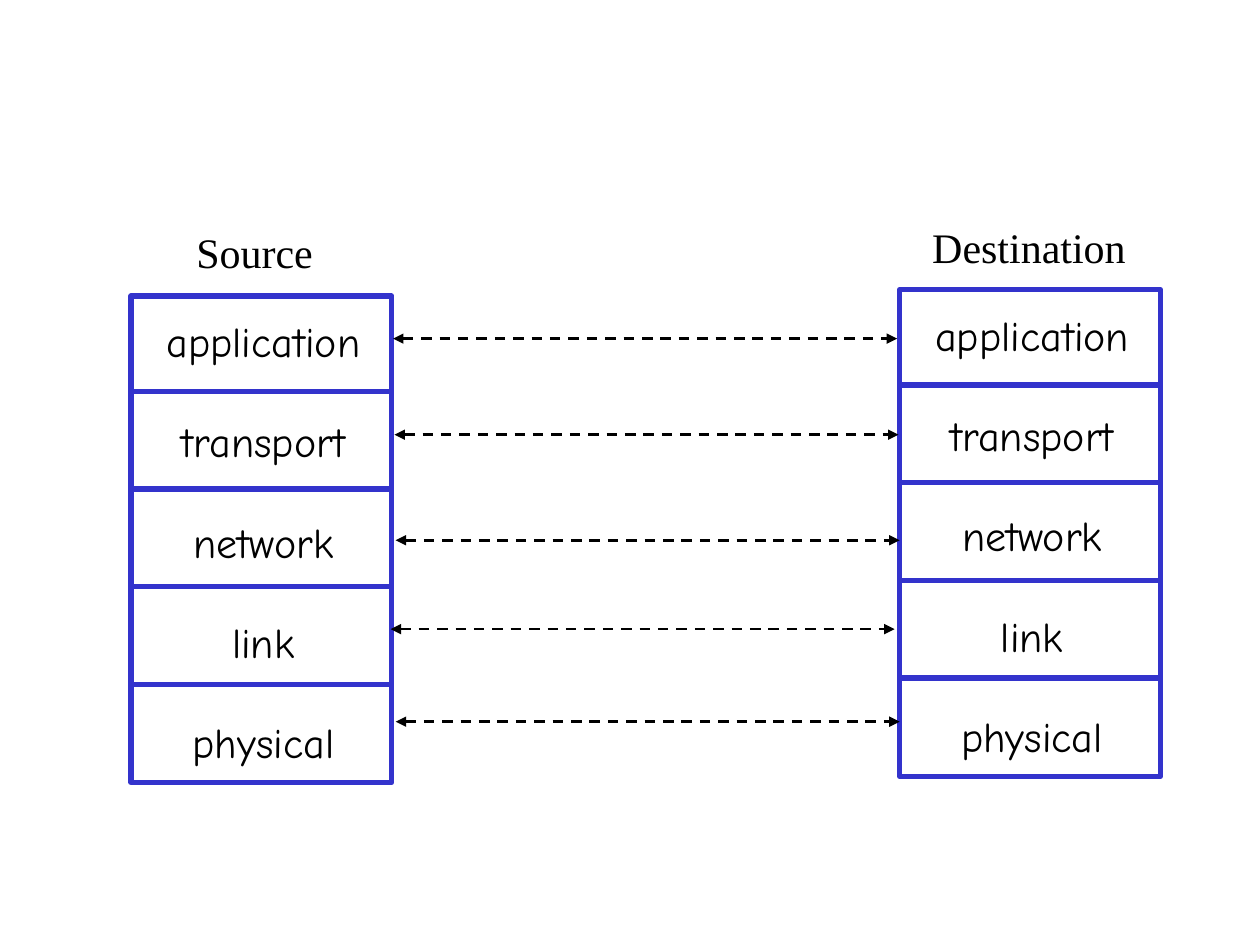
from dataclasses import dataclass

from lxml.etree import SubElement
from pptx import Presentation
from pptx.dml.color import RGBColor
from pptx.enum.dml import MSO_LINE_DASH_STYLE as Dash
from pptx.enum.shapes import MSO_CONNECTOR as Connector
from pptx.enum.shapes import MSO_SHAPE as Preset
from pptx.enum.text import MSO_AUTO_SIZE as AutoSize
from pptx.enum.text import PP_ALIGN as Align
from pptx.oxml.ns import qn
from pptx.util import Pt

BLUE = "3333CC"
BLACK = "000000"
WHITE = "FFFFFF"
LAYERS = ["application", "transport", "network", "link", "physical"]
STACK_WIDTH = 149
STACK_HEIGHT = 278
FIRST_DIVIDER = 54.4
DIVIDER_STEP = 55.8
LINE_HEIGHT = 28.7
ARROW_LENGTH = 288


@dataclass
class Stack:
    title: str
    left: float
    top: float
    title_left: float
    title_top: float
    title_width: float


@dataclass
class PeerArrow:
    left: float
    y: float


STACKS = [
    Stack("Destination", 514.1, 165.6, 525.6, 123.1, 126),
    Stack("Source", 74.9, 169.2, 105.1, 126, 97.9),
]
PEER_ARROWS = [
    PeerArrow(224.6, 193.5),
    PeerArrow(225.4, 248.4),
    PeerArrow(226.1, 308.7),
    PeerArrow(223.2, 359.5),
    PeerArrow(226.1, 412.4),
]


def color(value: str) -> RGBColor:
    return RGBColor.from_string(value)


def add_line(shapes, left: float, y: float, length: float, line_color: str, width: float):
    connector = shapes.add_connector(
        Connector.STRAIGHT, Pt(left), Pt(y), Pt(left + length), Pt(y)
    )
    connector.line.color.rgb = color(line_color)
    connector.line.width = Pt(width)
    SubElement(connector._element.spPr, qn("a:effectLst"))
    return connector


def add_text(shapes, lines: list[str], left: float, top: float, width: float,
             height: float, font_name: str, wrap: bool):
    box = shapes.add_textbox(Pt(left), Pt(top), Pt(width), Pt(height))
    text_frame = box.text_frame
    text_frame.word_wrap = wrap
    text_frame.auto_size = AutoSize.SHAPE_TO_FIT_TEXT
    text_frame.text = "\n".join(lines)
    for paragraph in text_frame.paragraphs:
        font = paragraph.runs[0].font
        font.name = font_name
        font.size = Pt(24)
        font.color.rgb = color(BLACK)
    return text_frame


def add_stack(slide, stack: Stack) -> None:
    shapes = slide.shapes.add_group_shape().shapes
    frame = shapes.add_shape(
        Preset.RECTANGLE, Pt(stack.left), Pt(stack.top), Pt(STACK_WIDTH), Pt(STACK_HEIGHT)
    )
    frame.shadow.inherit = False
    frame.fill.solid()
    frame.fill.fore_color.rgb = color(WHITE)
    frame.line.color.rgb = color(BLUE)
    frame.line.width = Pt(3)

    text_frame = add_text(
        shapes, LAYERS, stack.left + 13, stack.top + 7.6, 125.3, 266.4, "Comic Neue", False
    )
    for paragraph in text_frame.paragraphs:
        paragraph.alignment = Align.CENTER
        paragraph.line_spacing = Pt(LINE_HEIGHT)
    for paragraph in text_frame.paragraphs[:-1]:
        paragraph.space_after = Pt(LINE_HEIGHT)

    for index in range(len(LAYERS) - 1):
        y = stack.top + FIRST_DIVIDER + index * DIVIDER_STEP
        add_line(shapes, stack.left - 0.7, y, STACK_WIDTH, BLUE, 3)


def add_title(slide, stack: Stack) -> None:
    add_text(slide.shapes, [stack.title], stack.title_left, stack.title_top,
             stack.title_width, 36, "Times New Roman", True)


def add_peer_arrow(slide, arrow: PeerArrow) -> None:
    connector = add_line(slide.shapes, arrow.left, arrow.y, ARROW_LENGTH, BLACK, 1.5)
    connector.line.dash_style = Dash.DASH
    line = connector.line._get_or_add_ln()
    for end in ("a:headEnd", "a:tailEnd"):
        SubElement(line, qn(end), type="triangle")


def main() -> None:
    presentation = Presentation()
    presentation.slide_width = Pt(720)
    presentation.slide_height = Pt(540)
    slide = presentation.slides.add_slide(presentation.slide_layouts[6])
    for stack in STACKS:
        add_stack(slide, stack)
    for stack in STACKS:
        add_title(slide, stack)
    for arrow in PEER_ARROWS:
        add_peer_arrow(slide, arrow)
    presentation.save("out.pptx")


if __name__ == "__main__":
    main()
